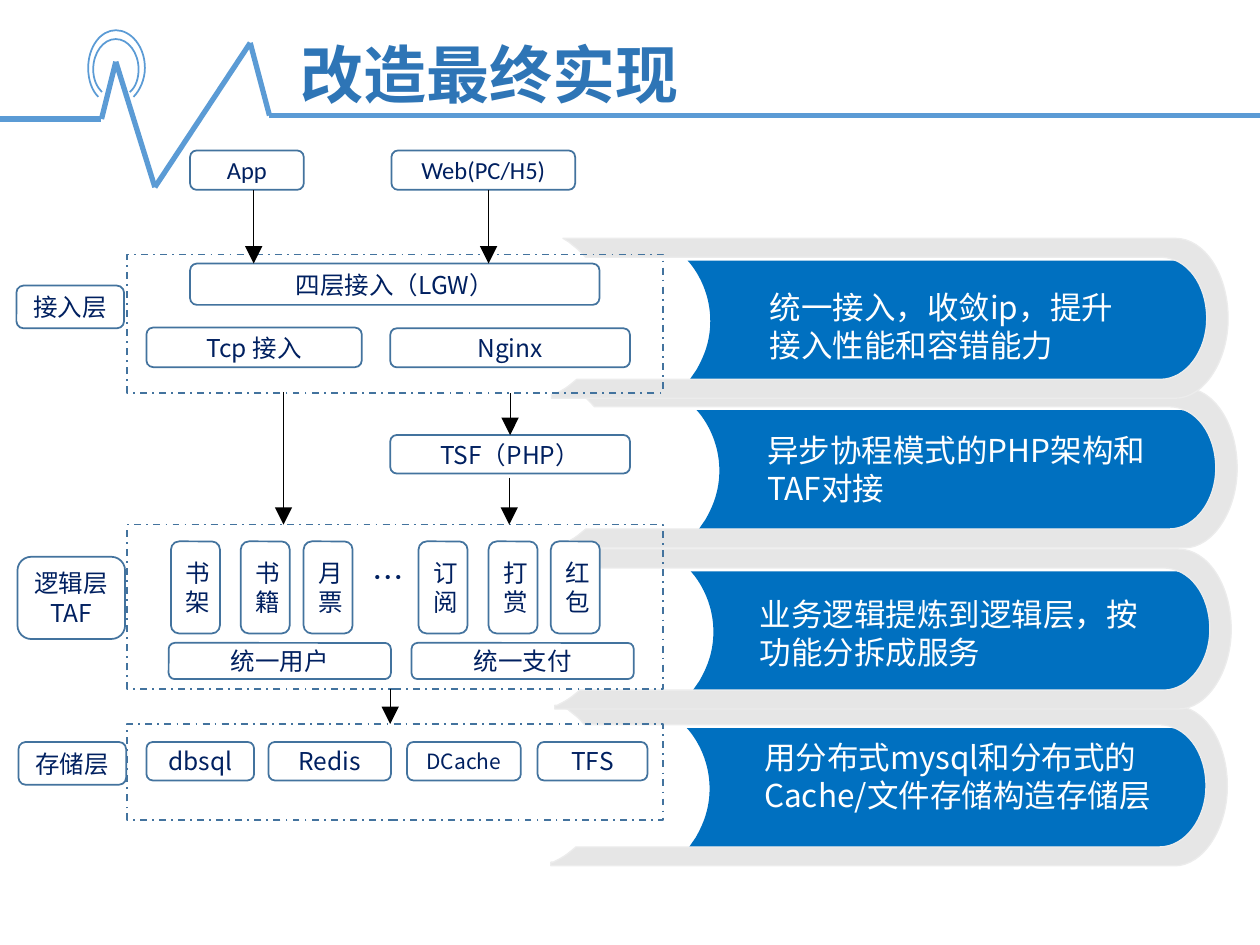
from itertools import pairwise

from lxml.etree import SubElement
from pptx import Presentation
from pptx.dml.color import RGBColor
from pptx.enum.dml import MSO_LINE
from pptx.enum.shapes import MSO_CONNECTOR, MSO_SHAPE
from pptx.enum.text import MSO_ANCHOR, MSO_AUTO_SIZE, PP_ALIGN
from pptx.oxml.ns import qn
from pptx.util import Pt

COLORS = {
    "title": "2E75B6", "pulse": "5B9BD5", "label": "002060", "border": "43739E",
    "box": "FFFFFF", "callout": "0070C0", "callout_text": "FFFFFF",
    "rim": "E6E6E6", "rim_edge": "ECECEC", "arrow": "000000",
}
CJK_FONT = "Noto Sans CJK SC"
LINE_PITCH = 1.2

RIM = [
    (6.5, 0), (356.4, 0), (373, 0, 386.6, 20.2, 386.6, 46),
    (386.6, 69.8, 373, 91.4, 356.4, 91.4), (0, 91.4), (0, 89.3), (1.4, 89.3),
    (4.3, 87.8, 7.2, 86.4, 10, 84.2), (14.4, 80.6), (347.8, 80.6),
    (362.9, 80.6, 374.4, 64, 374.4, 46), (374.4, 26, 362.9, 10.8, 347.8, 10.8),
    (19.4, 10.8), (17.3, 8.6), (15, 5.8, 12.2, 4.3, 10, 2.2),
]
CALLOUT = [
    (0, 0), (276.5, 0), (288, 0, 297.4, 14.4, 297.4, 34.8),
    (297.4, 53.3, 288, 69.8, 276.5, 69.8), (0, 69.8), (5, 62.6), (5.8, 61.2),
    (9.4, 54.7, 13, 46, 13, 34.6), (13, 13, 0, 0, 0, 0),
]
CALLOUT_OFFSET = (77.7, 12.7)
PANELS = [
    ((314.8, 403.4), (393.5, 418.3, 282, 51), "用分布式mysql和分布式的Cache/文件存储构造存储层"),
    ((317, 313.8), (391, 336.5, 267, 51), "业务逻辑提炼到逻辑层，按功能分拆成服务"),
    ((320.4, 221.7), (395.3, 242.6, 289.5, 51), "异步协程模式的PHP架构和TAF对接"),
    ((315.2, 136.2), (396.7, 161, 258.5, 51), "统一接入，收敛ip，提升接入性能和容错能力"),
]
PULSE = [(0, 68), (58, 68), (66.2, 35.3), (88.5, 107), (143, 24.5), (154, 66), (720, 66)]
HALOS = [
    [(58.3, 52.6), (55.4, 49.7, 53.3, 45.4, 53.3, 39.6), (53.3, 30.2, 59, 22.3, 66.2, 22.3),
     (73.4, 22.3, 79.2, 30.2, 79.2, 39.6), (79.2, 44.6, 77.8, 49.7, 74.2, 52.6)],
    [(56.2, 55.4), (52.6, 51.8, 50.4, 46, 50.4, 38.9), (50.4, 26.6, 57.6, 17.3, 66.2, 17.3),
     (74.9, 17.3, 82.8, 26.6, 82.8, 38.9), (82.8, 45.4, 79.9, 51.8, 76.3, 55.4)],
]
LABELS = [
    ("Tcp 接入", (83.7, 187.2, 123, 22.6)), ("Nginx", (223, 187.6, 137, 22.3)),
    ("四层接入（LGW）", (108.6, 150.6, 234, 23.6)),
    ("统一用户", (96.4, 367.4, 127, 20.7)), ("统一支付", (235.2, 367.4, 127, 20.7)),
    ("dbsql", (83.7, 424, 61.5, 22)), ("Redis", (153.4, 424, 70, 22)),
    ("TFS", (307.2, 424, 62.8, 22)),
    ("接入层", (9.4, 163.2, 61.5, 24.4)), ("逻辑层\nTAF", (10, 318.2, 61.5, 47)),
    ("存储层", (10.6, 424, 61.5, 24.4)),
]
SERVICES = [("书架", 97.7), ("书籍", 137.6), ("月票", 173.5),
            ("订阅", 239.2), ("打赏", 279.2), ("红包", 314.8)]
ARROWS = [(145, 108.5, 150.6), (279.2, 108.5, 150.6), (162, 224, 299.8),
          (291, 273, 299.8), (223, 393.8, 413.7)]


def rgb(key):
    """Return the named colour."""
    return RGBColor.from_string(COLORS[key])


def points(lengths):
    """Turn point numbers into lengths."""
    return [Pt(length) for length in lengths]


def style_text(frame, size, color, font=CJK_FONT, bold=False, align=PP_ALIGN.LEFT):
    """Format every run of a text frame."""
    for paragraph in frame.paragraphs:
        paragraph.alignment = align
        for run in paragraph.runs:
            run.font.size = Pt(size)
            run.font.bold = bold
            run.font.color.rgb = rgb(color)
            run.font.name = font
            SubElement(run.font._element, qn("a:ea"), typeface=CJK_FONT)


def set_pitch(frame, size):
    """Give each line of a text frame an exact height."""
    for paragraph in frame.paragraphs:
        paragraph.line_spacing = Pt(round(size * LINE_PITCH, 1))


def add_title(slide, text):
    """Fill and place the title placeholder."""
    title = slide.shapes.title
    title.left, title.top, title.width, title.height = points((164.4, 16.6, 473, 51))
    frame = title.text_frame
    frame.text = text
    frame.auto_size = MSO_AUTO_SIZE.NONE
    frame.vertical_anchor = MSO_ANCHOR.MIDDLE
    style_text(frame, 36, "title", "League Spartan", bold=True)


def add_box(slide, text, place, size=14, font=CJK_FONT):
    """Add a rounded, outlined label."""
    box = slide.shapes.add_shape(MSO_SHAPE.ROUNDED_RECTANGLE, *points(place))
    box.shadow.inherit = False
    box.fill.solid()
    box.fill.fore_color.rgb = rgb("box")
    box.line.color.rgb = rgb("border")
    box.line.width = Pt(1)
    frame = box.text_frame
    frame.text = text
    frame.word_wrap = True
    frame.vertical_anchor = MSO_ANCHOR.MIDDLE
    style_text(frame, size, "label", font, align=PP_ALIGN.CENTER)
    set_pitch(frame, size)
    return box


def add_layer(slide, top, height):
    """Add the dashed frame of one layer."""
    layer = slide.shapes.add_shape(MSO_SHAPE.RECTANGLE, *points((72.7, top, 306, height)))
    layer.shadow.inherit = False
    layer.fill.background()
    layer.line.color.rgb = rgb("border")
    layer.line.width = Pt(1)
    layer.line.dash_style = MSO_LINE.DASH_DOT


def add_text(slide, text, place, color, indent=0, wrap=True):
    """Add plain 18 point text."""
    box = slide.shapes.add_textbox(*points(place))
    frame = box.text_frame
    frame.text = text
    frame.word_wrap = wrap
    frame.margin_left = Pt(7.2 + indent)
    style_text(frame, 18, color)
    set_pitch(frame, 18)


def add_line(slide, start, end, color, width):
    """Add a straight line without a shadow."""
    line = slide.shapes.add_connector(MSO_CONNECTOR.STRAIGHT, *points(start + end))
    line.line.color.rgb = rgb(color)
    line.line.width = Pt(width)
    SubElement(line._element.spPr, qn("a:effectLst"))
    return line


def add_arrow(slide, x, top, bottom):
    """Add a thin arrow with a large head that points down."""
    arrow = add_line(slide, (x, top), (x, bottom), "arrow", 0.5)
    SubElement(arrow.line._get_or_add_ln(), qn("a:tailEnd"), type="triangle", w="lg", len="lg")
    return arrow


def bend(drawn, outline):
    """Join the corner points of each curved segment into one curve."""
    corners = iter(list(drawn._element.iter(qn("a:lnTo"))))
    for segment in outline[1:]:
        curve = next(corners)
        if len(segment) == 6:
            curve.tag = qn("a:cubicBezTo")
            for corner in (next(corners), next(corners)):
                curve.append(corner[0])
                corner.getparent().remove(corner)


def add_outline(slide, outline, origin=(0, 0), fill=None, edge=None, width=1):
    """Add a filled closed outline, or an open one without a fill."""
    first, *rest = [points((x + origin[0], y + origin[1]))
                    for segment in outline for x, y in zip(segment[::2], segment[1::2])]
    builder = slide.shapes.build_freeform(*first)
    builder.add_line_segments(rest, close=False)
    drawn = builder.convert_to_shape()
    bend(drawn, outline)
    drawn.shadow.inherit = False
    if fill:
        SubElement(next(drawn._element.iter(qn("a:path"))), qn("a:close"))
        drawn.fill.solid()
        drawn.fill.fore_color.rgb = rgb(fill)
    else:
        drawn.fill.background()
    if edge:
        drawn.line.color.rgb = rgb(edge)
        drawn.line.width = Pt(width)
    else:
        drawn.line.fill.background()


def main():
    """Build the slide and save it."""
    deck = Presentation()
    deck.slide_width, deck.slide_height = points((720, 540))
    slide = deck.slides.add_slide(deck.slide_layouts[5])
    add_title(slide, "改造最终实现")

    for (left, top), _, _ in PANELS:
        add_outline(slide, CALLOUT, (left + CALLOUT_OFFSET[0], top + CALLOUT_OFFSET[1]), "callout")
        add_outline(slide, RIM, (left, top), "rim", "rim_edge", 0.75)
    for _, place, text in PANELS:
        add_text(slide, text, place, "callout_text", indent=36)

    for top, height in [(145.4, 79.2), (299.8, 94), (413.7, 55)]:
        add_layer(slide, top, height)
    add_box(slide, "App", (108.6, 86, 65, 22.5), font="Calibri")
    add_box(slide, "Web(PC/H5)", (223.7, 86, 105, 22.5), font="Calibri")
    for text, place in LABELS:
        add_box(slide, text, place)
    for text, left in SERVICES:
        add_box(slide, text, (left, 309.4, 28, 52.6))
    add_box(slide, "DCache", (232.6, 424, 65, 22), size=12)
    add_text(slide, "…", (206, 315.4, 29.5, 29), "label", wrap=False)
    php = add_box(slide, "TSF（PHP）", (223, 248.6, 137, 22))

    for x, top, bottom in ARROWS:
        add_arrow(slide, x, top, bottom)
    add_arrow(slide, 291.5, 224.6, 248.6).end_connect(php, 0)

    for start, end in pairwise(PULSE):
        add_line(slide, start, end, "pulse", 3)
    for halo in HALOS:
        add_outline(slide, halo, edge="pulse")
    deck.save("out.pptx")


if __name__ == "__main__":
    main()
